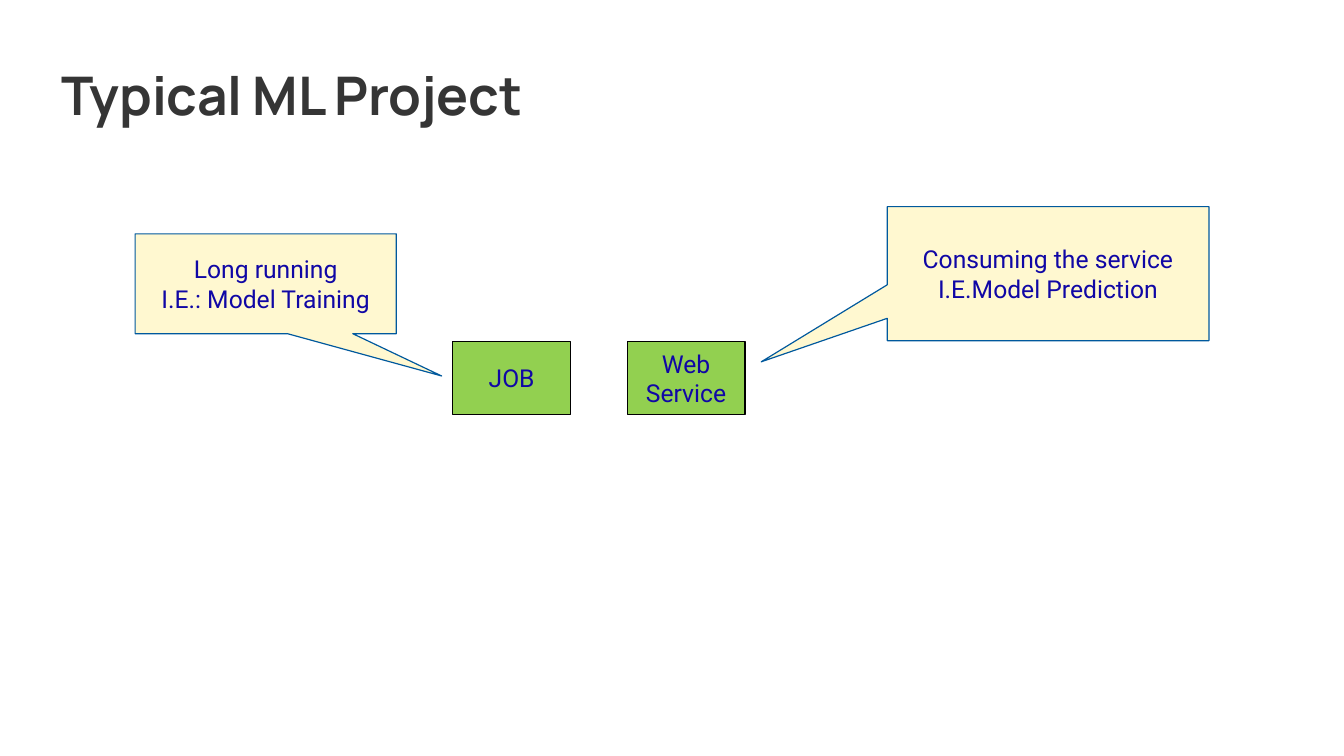
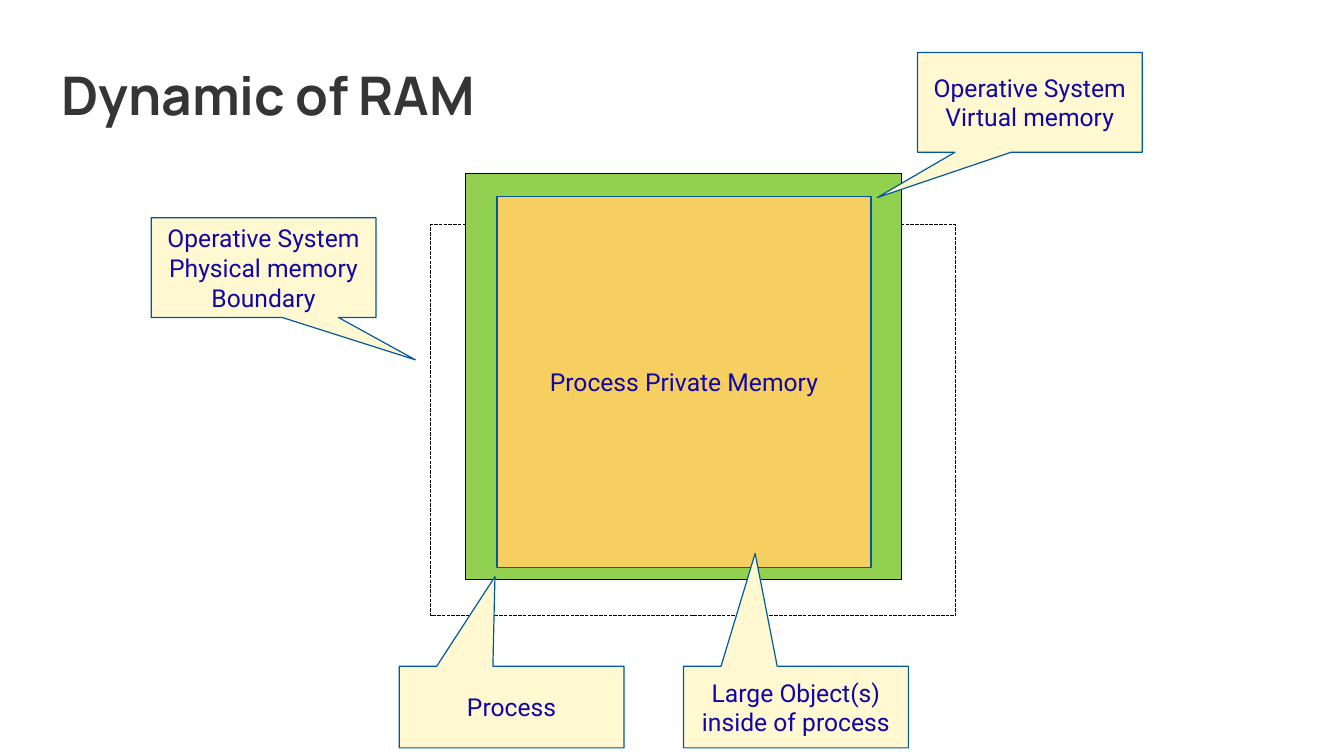
from dataclasses import dataclass

from pptx import Presentation
from pptx.dml.color import RGBColor as RGB
from pptx.enum.dml import MSO_LINE
from pptx.enum.shapes import MSO_SHAPE as SHAPE
from pptx.enum.text import MSO_ANCHOR as ANCHOR, PP_ALIGN as ALIGN
from pptx.util import Inches, Pt


@dataclass(frozen=True)
class Theme:
    title_font: str = "Manrope"
    body_font: str = "Roboto"
    title_size: float = 38
    body_size: float = 17.6
    line_width: float = 0.85
    title: str = "353535"
    text: str = "1007A5"
    white: str = "FFFFFF"
    black: str = "000000"
    green: str = "92D050"
    amber: str = "F7CE60"
    cream: str = "FFF8D0"
    blue: str = "00599D"


def write(tf, text, *, font, size, color, bold=False, align=ALIGN.CENTER,
          anchor=ANCHOR.MIDDLE, line_spacing=None, tracking=None):
    tf.word_wrap = True
    tf.vertical_anchor = anchor
    for i, line in enumerate(text.split("\n")):
        p = tf.add_paragraph() if i else tf.paragraphs[0]
        p.alignment = align
        p.line_spacing = line_spacing
        r = p.add_run()
        r.text = line
        r.font.name = font
        r.font.size = Pt(size)
        r.font.bold = bold
        r.font.color.rgb = RGB.from_string(color)
        if tracking is not None:
            r.font._element.set("spc", str(round(tracking * 100)))


class Deck:
    def __init__(self, theme):
        self.theme = theme
        self.prs = Presentation()
        self.prs.slide_width = Inches(13.33)
        self.prs.slide_height = Inches(7.5)
        self.s = None

    def slide(self, title, title_height):
        t = self.theme
        self.s = self.prs.slides.add_slide(self.prs.slide_layouts[5])
        sp = self.s.shapes.title
        sp.left, sp.top = Inches(0.61), Inches(0.66)
        sp.width, sp.height = Inches(11.5), Inches(title_height)
        tf = sp.text_frame
        tf.margin_left = tf.margin_top = tf.margin_right = tf.margin_bottom = 0
        write(tf, title, font=t.title_font, size=t.title_size, color=t.title,
              bold=True, align=ALIGN.LEFT, anchor=ANCHOR.TOP,
              line_spacing=0.95, tracking=-0.1)

    def box(self, x, y, w, h, text="", *, fill, line, dash=None,
            kind=SHAPE.RECTANGLE):
        t = self.theme
        sp = self.s.shapes.add_shape(kind, Inches(x), Inches(y), Inches(w), Inches(h))
        sp.shadow.inherit = False
        sp.fill.solid()
        sp.fill.fore_color.rgb = RGB.from_string(fill)
        sp.line.color.rgb = RGB.from_string(line)
        sp.line.width = Pt(t.line_width)
        if dash:
            sp.line.dash_style = dash
        if text:
            write(sp.text_frame, text, font=t.body_font, size=t.body_size,
                  color=t.text)
        return sp

    def callout(self, x, y, w, h, text, tip):
        sp = self.box(x, y, w, h, text, fill=self.theme.cream,
                      line=self.theme.blue, kind=SHAPE.RECTANGULAR_CALLOUT)
        tip_x, tip_y = tip
        sp.adjustments[0] = (tip_x - x) / w - 0.5
        sp.adjustments[1] = (tip_y - y) / h - 0.5


def ml_project(deck):
    t = deck.theme
    deck.slide("Typical ML Project", 0.64)
    for x, text in ((4.49, "JOB"), (6.22, "Web Service")):
        deck.box(x, 3.39, 1.17, 0.72, text, fill=t.green, line=t.black)
    deck.callout(8.8, 2.05, 3.19, 1.33,
                 "Consuming the service\nI.E.Model Prediction", (7.55, 3.59))
    deck.callout(1.34, 2.32, 2.59, 0.99,
                 "Long running\nI.E.: Model Training", (4.38, 3.73))


def ram_dynamic(deck):
    t = deck.theme
    deck.slide("Dynamic of RAM", 0.99)
    deck.box(4.27, 2.23, 5.21, 3.88, fill=t.white, line=t.black,
             dash=MSO_LINE.SQUARE_DOT)
    deck.box(4.62, 1.72, 4.32, 4.03, fill=t.green, line=t.black)
    deck.box(4.93, 1.95, 3.71, 3.68, "Process Private Memory",
             fill=t.amber, line=t.blue)
    for x, y, h, text, tip in (
        (3.96, 6.61, 0.81, "Process", (4.91, 5.72)),
        (6.78, 6.61, 0.81, "Large Object(s) inside of process", (7.49, 5.49)),
        (1.5, 2.16, 0.99, "Operative System\nPhysical memory Boundary", (4.12, 3.57)),
        (9.1, 0.52, 0.99, "Operative System\nVirtual memory", (8.7, 1.96)),
    ):
        deck.callout(x, y, 2.23, h, text, tip)


def main():
    deck = Deck(Theme())
    ml_project(deck)
    ram_dynamic(deck)
    deck.prs.save("out.pptx")


if __name__ == "__main__":
    main()
